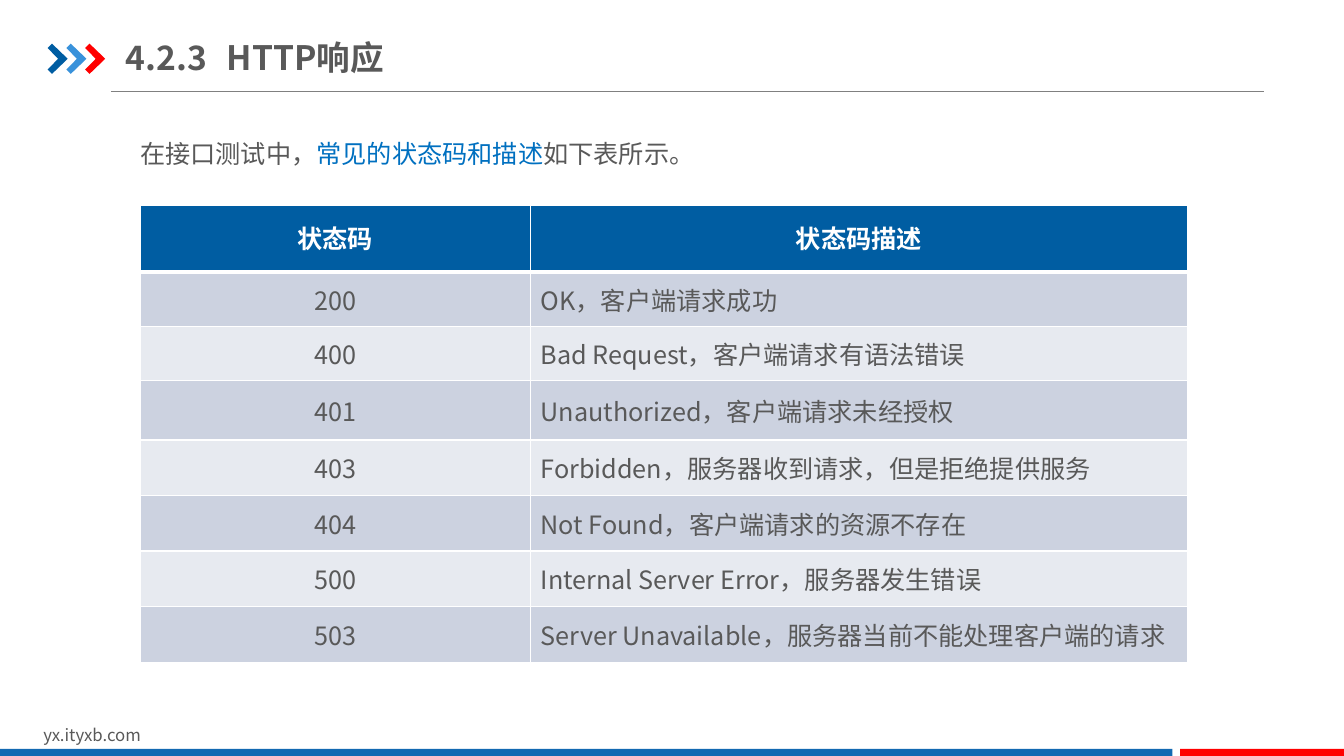
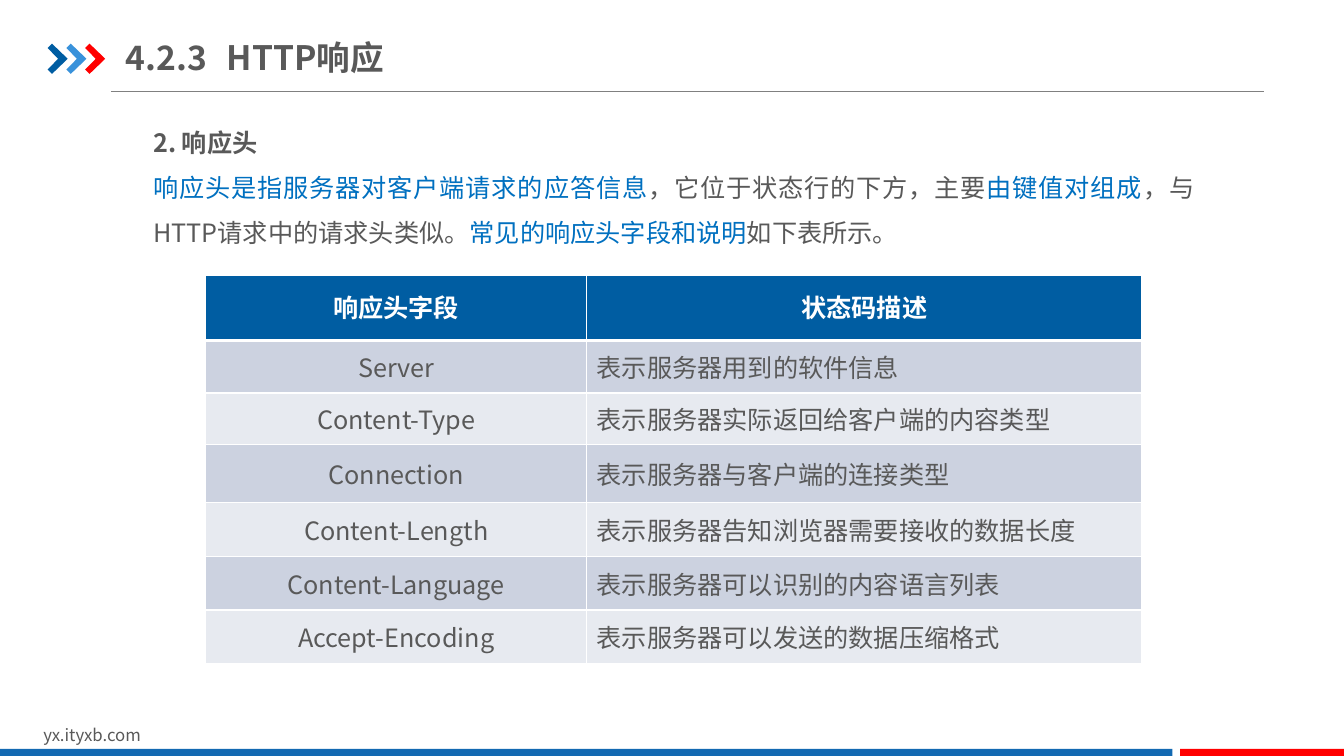
from lxml.etree import SubElement
from pptx import Presentation
from pptx.dml.color import RGBColor
from pptx.enum.shapes import MSO_CONNECTOR as Connector, MSO_SHAPE as Shape
from pptx.enum.text import MSO_ANCHOR as Anchor, PP_ALIGN as Align
from pptx.oxml.ns import qn
from pptx.util import Pt

FONT = "Noto Sans CJK SC"
NAVY, SKY, RED, BLUE = "005DA2", "3992DB", "FF0000", "1369B2"
TEXT, ACCENT, WHITE, RULE = "595959", "0070C0", "FFFFFF", "808080"
BANDS = ("CCD2E0", "E7EAF0")
CHEVRON = ((0, 3.1), (3.2, 0), (14.4, 10.8), (3.2, 21.6), (0, 18.5), (7.6, 10.8))

TITLE = "4.2.3\tHTTP响应"
STATUS_INTRO = [[("在接口测试中，", {}),
                 ("常见的状态码和描述", {"color": ACCENT}),
                 ("如下表所示。", {})]]
STATUS_ROWS = (
    ("状态码", "状态码描述"),
    ("200", "OK，客户端请求成功"),
    ("400", "Bad Request，客户端请求有语法错误"),
    ("401", "Unauthorized，客户端请求未经授权"),
    ("403", "Forbidden，服务器收到请求，但是拒绝提供服务"),
    ("404", "Not Found，客户端请求的资源不存在"),
    ("500", "Internal Server Error，服务器发生错误"),
    ("503", "Server Unavailable，服务器当前不能处理客户端的请求"),
)
HEADER_INTRO = [
    [("2. 响应头", {"bold": True})],
    [("响应头是指服务器对客户端请求的应答信息", {"color": ACCENT}),
     ("，它位于状态行的下方，主要", {}),
     ("由键值对组成", {"color": ACCENT}),
     ("，与HTTP请求中的请求头类似。", {}),
     ("常见的响应头字段和说明", {"color": ACCENT}),
     ("如下表所示。", {})],
]
HEADER_ROWS = (
    ("响应头字段", "状态码描述"),
    ("Server", "表示服务器用到的软件信息"),
    ("Content-Type", "表示服务器实际返回给客户端的内容类型"),
    ("Connection", "表示服务器与客户端的连接类型"),
    ("Content-Length", "表示服务器告知浏览器需要接收的数据长度"),
    ("Content-Language", "表示服务器可以识别的内容语言列表"),
    ("Accept-Encoding", "表示服务器可以发送的数据压缩格式"),
)


def set_format(target, values):
    """Set each named attribute of the target."""
    for name, value in values.items():
        setattr(target, name, value)


def paint(fill, color):
    """Give a fill one solid colour from a hex string."""
    fill.solid()
    fill.fore_color.rgb = RGBColor.from_string(color)


def add_span(para, text, color=TEXT, size=18, bold=False):
    """Add a run in the deck font for Latin and Chinese text."""
    span = para.add_run()
    span.text = text
    set_format(span.font, {"name": FONT, "size": Pt(size), "bold": bold})
    paint(span.font.fill, color)
    properties = span.font._element
    properties.set("lang", "zh-CN")
    SubElement(properties, qn("a:ea"), typeface=FONT)


def add_text(page, area, paragraphs, insets=(7.2, 3.6), anchor=Anchor.TOP, layout=None):
    """Add a wrapping text box and return its frame."""
    frame = page.shapes.add_textbox(*map(Pt, area)).text_frame
    side, edge = map(Pt, insets)
    set_format(frame, {"word_wrap": True, "vertical_anchor": anchor,
                       "margin_left": side, "margin_right": side,
                       "margin_top": edge, "margin_bottom": edge})
    for index, spans in enumerate(paragraphs):
        para = frame.add_paragraph() if index else frame.paragraphs[0]
        set_format(para, layout or {})
        for text, style in spans:
            add_span(para, text, **style)
    return frame


def add_intro(page, area, paragraphs):
    """Add the justified text above a table."""
    add_text(page, area, paragraphs, (9.4, 5),
             layout={"alignment": Align.JUSTIFY, "line_spacing": 1.5})


def finish_shape(shape, color):
    """Fill a shape flat, without outline or shadow."""
    shape.shadow.inherit = False
    paint(shape.fill, color)
    shape.line.fill.background()


def add_chevron(page, left, top, color):
    """Draw one right-pointing chevron."""
    first, *rest = [(Pt(left + x), Pt(top + y)) for x, y in CHEVRON]
    builder = page.shapes.build_freeform(*first)
    builder.add_line_segments(rest, close=True)
    finish_shape(builder.convert_to_shape(), color)


def add_bar(page, left, width, color):
    """Draw one bar along the bottom edge."""
    area = map(Pt, (left, 535, width, 5))
    finish_shape(page.shapes.add_shape(Shape.RECTANGLE, *area), color)


def add_rule(page):
    """Draw the thin line under the title."""
    rule = page.shapes.add_connector(Connector.STRAIGHT, *map(Pt, (79.2, 65.5, 903, 65.5)))
    rule.line.width = Pt(0.75)
    paint(rule.line.fill, RULE)
    SubElement(rule._element.spPr, qn("a:effectLst"))


def add_title(page):
    """Add the section title with a tab after its number."""
    frame = add_text(page, (90, 20.9, 306.7, 39.6),
                     [[(TITLE, {"size": 24, "bold": True})]], (0, 5), Anchor.MIDDLE)
    tabs = SubElement(frame.paragraphs[0]._p.get_or_add_pPr(), qn("a:tabLst"))
    SubElement(tabs, qn("a:tab"), pos=str(Pt(72)), algn="l")


def add_page(deck):
    """Add a blank page with the shared title, rule and footer."""
    page = deck.slides.add_slide(deck.slide_layouts[6])
    add_rule(page)
    for index, color in enumerate((NAVY, SKY, RED)):
        add_chevron(page, 34 + 13.4 * index, 31.2, color)
    add_text(page, (23.8, 514, 229, 21.6), [[("yx.ityxb.com", {"size": 12})]])
    add_bar(page, 0, 837.4, BLUE)
    add_bar(page, 843, 117, RED)
    add_title(page)
    return page


def add_borders(cell, widths):
    """Give a cell white borders, with a width for each side."""
    properties = cell._tc.get_or_add_tcPr()
    for side, width in widths.items():
        line = SubElement(properties, qn(f"a:ln{side}"), w=str(Pt(width)))
        solid = SubElement(line, qn("a:solidFill"))
        SubElement(solid, qn("a:srgbClr"), val=WHITE)


def fill_cell(cell, text, row, column):
    """Write and style one cell by its place in the table."""
    heading = row == 0
    add_borders(cell, {"L": 1, "R": 1, "T": 3 if row == 1 else 1, "B": 3 if heading else 1})
    paint(cell.fill, NAVY if heading else BANDS[(row - 1) % 2])
    cell.vertical_anchor = Anchor.MIDDLE
    para = cell.text_frame.paragraphs[0]
    set_format(para, {"alignment": Align.CENTER if heading or column == 0 else Align.LEFT,
                      "line_spacing": 0.9 if heading else 1.0})
    add_span(para, text, WHITE if heading else TEXT, bold=heading)


def add_grid(page, left, top, widths, heights, rows):
    """Add a banded table with a dark heading row."""
    area = map(Pt, (left, top, sum(widths), sum(heights)))
    table = page.shapes.add_table(len(rows), len(widths), *area).table
    for column, width in zip(table.columns, widths):
        column.width = Pt(width)
    for row, height in zip(table.rows, heights):
        row.height = Pt(height)
    for row, texts in enumerate(rows):
        for column, text in enumerate(texts):
            fill_cell(table.cell(row, column), text, row, column)


def main():
    """Build and save the deck."""
    deck = Presentation()
    set_format(deck, {"slide_width": Pt(960), "slide_height": Pt(540)})

    page = add_page(deck)
    add_intro(page, (90.7, 82.8, 762.5, 42.5), STATUS_INTRO)
    add_grid(page, 100, 146.5, (279, 469),
             (48, 39, 38.3, 42.5, *[39.7] * 4), STATUS_ROWS)

    page = add_page(deck)
    add_intro(page, (100, 74.9, 762.5, 108), HEADER_INTRO)
    add_grid(page, 147, 196.5, (272, 396.7),
             (46.8, 37.4, 36.8, 41.7, *[38.3] * 3), HEADER_ROWS)

    deck.save("out.pptx")


if __name__ == "__main__":
    main()
